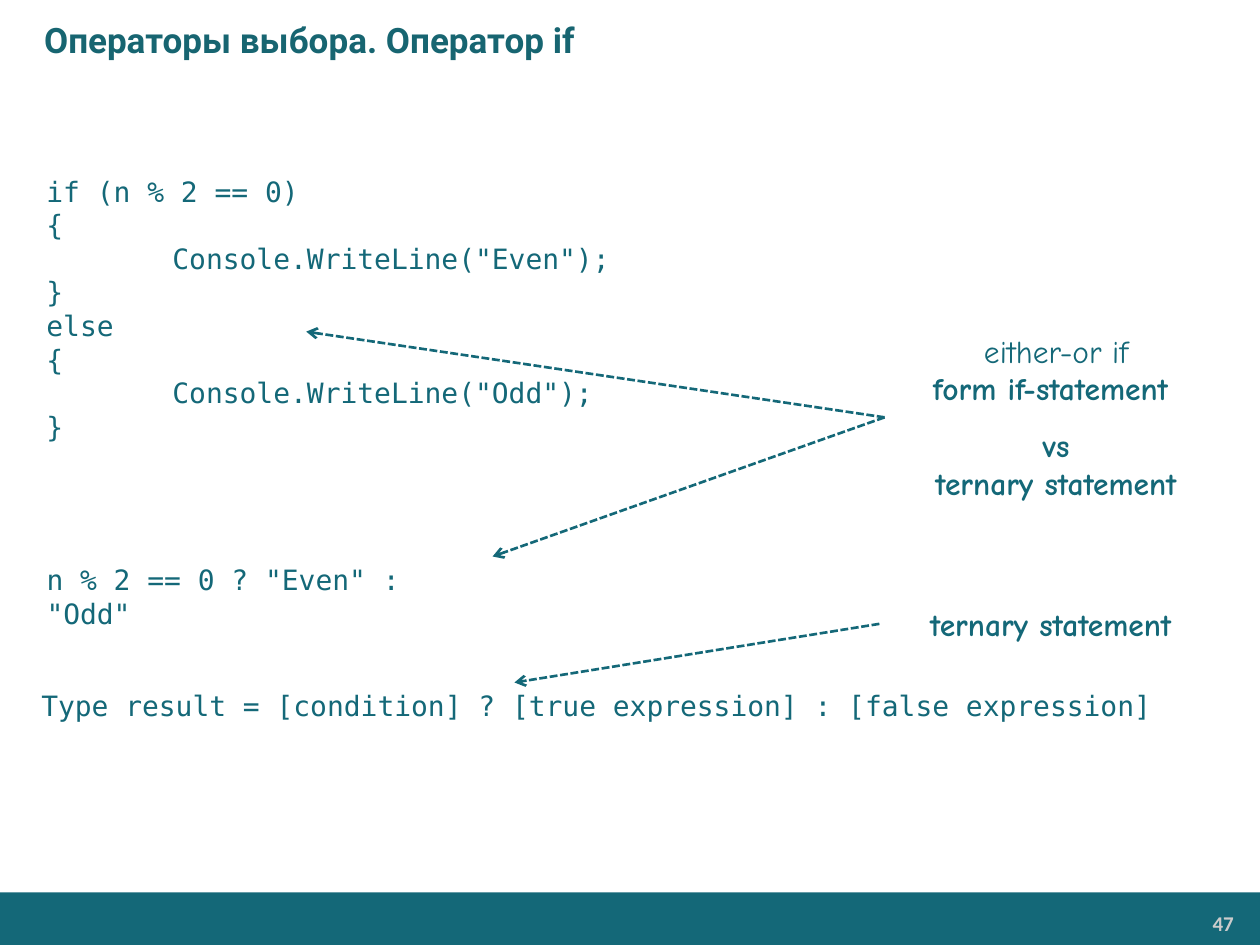
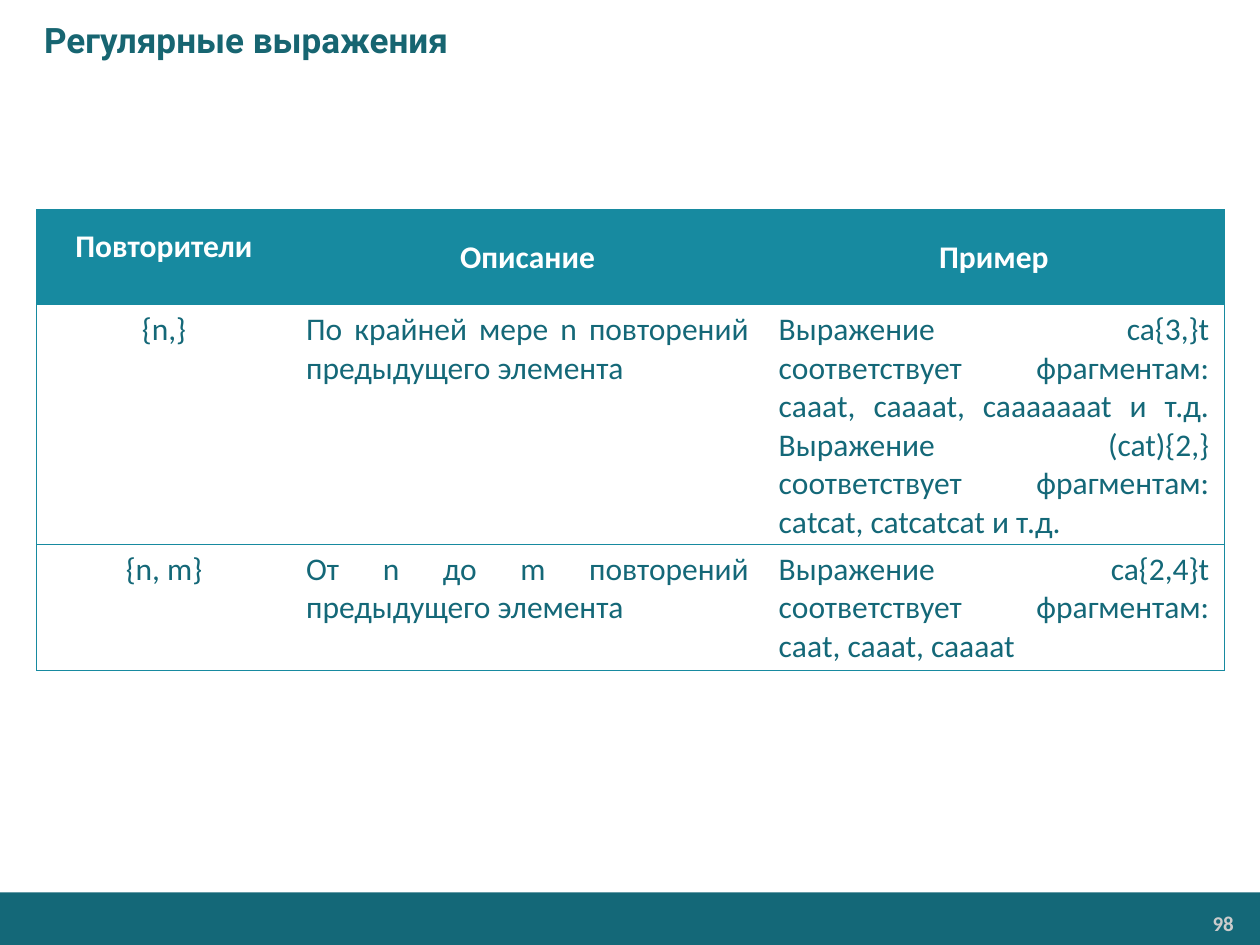
"""Builds two programming lecture slides: the if statement and regular expression repeaters."""
import dataclasses

import lxml.etree
import pptx
import pptx.dml.color
import pptx.enum.dml
import pptx.enum.shapes
import pptx.enum.text
import pptx.oxml.ns
import pptx.util

Pt = pptx.util.Pt
Align = pptx.enum.text.PP_ALIGN
Anchor = pptx.enum.text.MSO_ANCHOR
qn = pptx.oxml.ns.qn


@dataclasses.dataclass(frozen=True)
class Theme:
    teal = pptx.dml.color.RGBColor.from_string("146878")
    title_teal = pptx.dml.color.RGBColor.from_string("176571")
    table_teal = pptx.dml.color.RGBColor.from_string("178AA0")
    white = pptx.dml.color.RGBColor.from_string("FFFFFF")
    grey = pptx.dml.color.RGBColor.from_string("CCCCCC")
    title = {"name": "Roboto", "size": Pt(20), "bold": True}
    number = {"name": "Calibri", "size": Pt(12), "bold": True}
    code = {"name": "DejaVu Sans Mono", "size": Pt(16), "bold": False}
    note = {"name": "Comic Neue", "size": Pt(18), "bold": False}
    strong_note = {**note, "bold": True}
    cell = {"name": "Calibri", "size": Pt(18), "bold": False}
    header = {**cell, "bold": True}


theme = Theme()


def write(frame, lines, font, color, **para_format):
    """Fill a text frame with one paragraph per line."""
    for index, line in enumerate(lines):
        para = frame.paragraphs[0] if index == 0 else frame.add_paragraph()
        if "\t" in line:
            tabs = lxml.etree.SubElement(para._p.get_or_add_pPr(), qn("a:tabLst"))
            lxml.etree.SubElement(tabs, qn("a:tab"), pos=str(Pt(72)), algn="l")
        for name, value in para_format.items():
            setattr(para, name, value)
        span = para.add_run()
        span.text = line
        span.font.color.rgb = color
        for name, value in font.items():
            setattr(span.font, name, value)


def add_text(page, place, lines, font, color, frame_format=None, **para_format):
    """Add a wrapping text box at left, top, width, height."""
    box = page.shapes.add_textbox(*map(Pt, place))
    for name, value in {"word_wrap": True, **(frame_format or {})}.items():
        setattr(box.text_frame, name, value)
    write(box.text_frame, lines, font, color, **para_format)
    return box


deck = pptx.Presentation()
deck.slide_width, deck.slide_height = Pt(720), Pt(540)

pages = []
for title, number in (("Операторы выбора. Оператор if", "47"), ("Регулярные выражения", "98")):
    page = deck.slides.add_slide(deck.slide_layouts[6])
    band = page.shapes.add_shape(
        pptx.enum.shapes.MSO_SHAPE.RECTANGLE, Pt(0), Pt(510), Pt(720), Pt(30))
    band.shadow.inherit = False
    band.fill.solid()
    band.fill.fore_color.rgb = theme.teal
    band.line.fill.background()
    add_text(page, (592.5, 517.5, 117.5, 20), [number], theme.number, theme.grey,
             {"margin_left": Pt(5), "margin_right": Pt(5),
              "margin_top": Pt(3), "margin_bottom": Pt(3)}, alignment=Align.RIGHT)
    add_text(page, (0, 0, 720, 45), [title], theme.title, theme.title_teal,
             {"margin_left": Pt(25.2), "vertical_anchor": Anchor.MIDDLE})
    pages.append(page)
if_page, regex_page = pages

if_else_code = [
    "if (n % 2 == 0)", "{", "\tConsole.WriteLine(\"Even\");", "}",
    "else", "{", "\tConsole.WriteLine(\"Odd\");", "}",
]
syntax = "Type result = [condition] ? [true expression] : [false expression]"
for place, lines in (
    ((19.5, 96, 618, 163), if_else_code),
    ((19.5, 318, 262, 27), ["n % 2 == 0 ? \"Even\" : \"Odd\""]),
    ((16.5, 390, 674, 27), [syntax]),
):
    add_text(if_page, place, lines, theme.code, theme.teal)

comparison = add_text(if_page, (505.5, 186, 196, 105), ["either-or if"],
                      theme.note, theme.teal, alignment=Align.CENTER)
for line, spacing in (("form if-statement ", 1.0), ("vs", 1.5), ("ternary statement", 1.0)):
    para = comparison.text_frame.add_paragraph()
    para.alignment, para.line_spacing = Align.CENTER, spacing
    span = para.add_run()
    span.text = line
    span.font.color.rgb = theme.teal
    for name, value in theme.strong_note.items():
        setattr(span.font, name, value)
ternary = add_text(if_page, (502.5, 342, 196, 29), ["ternary statement"],
                   theme.strong_note, theme.teal, alignment=Align.CENTER)

for label, end_x, end_y in ((comparison, 175, 189.5), (comparison, 281.5, 318), (ternary, 294, 390)):
    arrow = if_page.shapes.add_connector(
        pptx.enum.shapes.MSO_CONNECTOR.STRAIGHT,
        label.left, label.top + label.height // 2, Pt(end_x), Pt(end_y))
    arrow.begin_connect(label, 1)
    arrow.line.color.rgb = theme.teal
    arrow.line.width = Pt(1.5)
    arrow.line.dash_style = pptx.enum.dml.MSO_LINE.SQUARE_DOT
    lxml.etree.SubElement(arrow.line._get_or_add_ln(), qn("a:tailEnd"), type="arrow")
    lxml.etree.SubElement(arrow._element.spPr, qn("a:effectLst"))

rows = [
    ("Повторители", "Описание", "Пример"),
    ("{n,}", "По крайней мере n повторений предыдущего элемента",
     "Выражение ca{3,}t соответствует фрагментам: cаааt, caaaat, caaaaaaat и т.д. "
     "Выражение (cat){2,} соответствует фрагментам: cаtcat, catcatcat и т.д."),
    ("{n, m}", "От n до m повторений предыдущего элемента",
     "Выражение ca{2,4}t соответствует фрагментам: cааt, caaat, caaaat"),
]
widths, heights = (145.5, 270, 263), (54, 137, 72)
table = regex_page.shapes.add_table(
    len(rows), len(widths), Pt(21), Pt(120), Pt(sum(widths)), Pt(sum(heights))).table
table.horz_banding = False
for column, width in zip(table.columns, widths):
    column.width = Pt(width)
for row_index, (texts, height) in enumerate(zip(rows, heights)):
    table.rows[row_index].height = Pt(height)
    is_header = row_index == 0
    for column_index, text in enumerate(texts):
        cell = table.cell(row_index, column_index)
        is_corner = is_header and column_index == 0
        side, edge = (6.5, 0) if is_corner else (8.5, 3.6)
        for name, value in {
            "margin_left": Pt(side), "margin_right": Pt(side),
            "margin_top": Pt(edge), "margin_bottom": Pt(edge),
            "vertical_anchor": Anchor.MIDDLE if is_header else Anchor.TOP,
        }.items():
            setattr(cell, name, value)
        borders = {"lnL": column_index == 0, "lnR": column_index == len(widths) - 1,
                   "lnT": True, "lnB": True}
        for tag, visible in borders.items():
            border = lxml.etree.SubElement(
                cell._tc.get_or_add_tcPr(), qn("a:" + tag), w=str(Pt(0.75)))
            if visible:
                paint = lxml.etree.SubElement(border, qn("a:solidFill"))
                lxml.etree.SubElement(paint, qn("a:srgbClr"), val=str(theme.table_teal))
            else:
                lxml.etree.SubElement(border, qn("a:noFill"))
        cell.fill.solid()
        cell.fill.fore_color.rgb = theme.table_teal if is_header else theme.white
        para_format = {"line_spacing": Pt(10), "space_after": Pt(2)} if is_corner else {}
        write(cell.text_frame, [text],
              theme.header if is_header else theme.cell,
              theme.white if is_header else theme.teal,
              alignment=Align.CENTER if is_header or column_index == 0 else Align.JUSTIFY,
              **para_format)

deck.save("out.pptx")
